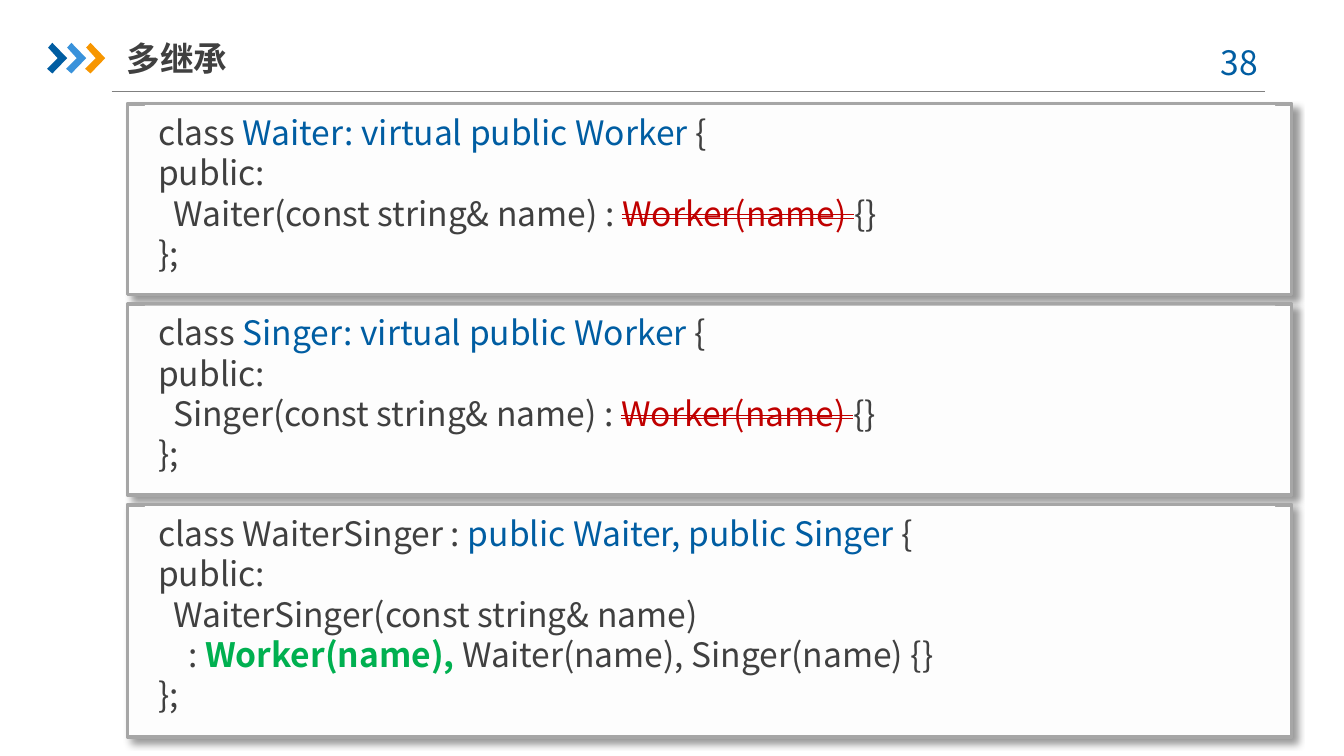
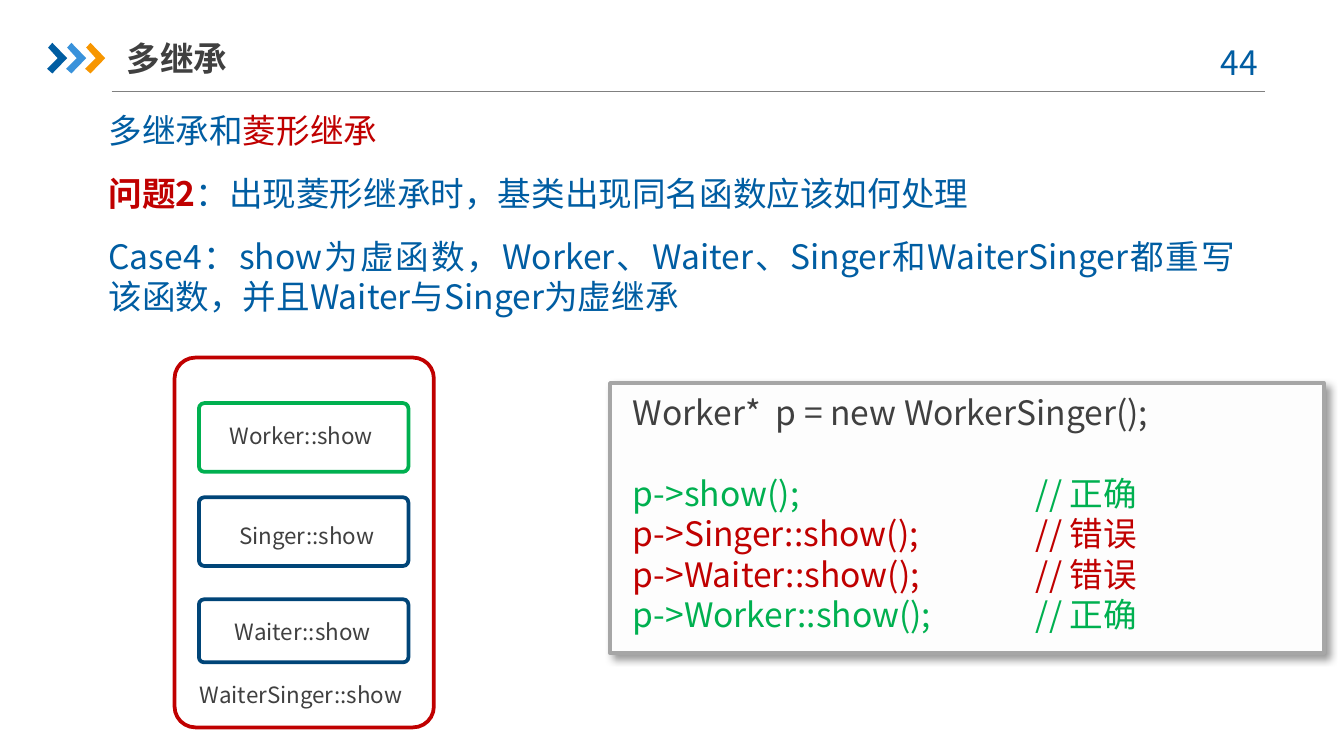
"""Build two slides on multiple inheritance in C++."""
from lxml import etree
from pptx import Presentation
from pptx.dml.color import RGBColor
from pptx.enum.shapes import MSO_CONNECTOR, MSO_SHAPE
from pptx.enum.text import MSO_ANCHOR, MSO_AUTO_SIZE, PP_ALIGN
from pptx.oxml.ns import qn
from pptx.util import Cm, Pt

RECTANGLE, ROUNDED = MSO_SHAPE.RECTANGLE, MSO_SHAPE.ROUNDED_RECTANGLE
STRAIGHT = MSO_CONNECTOR.STRAIGHT
TOP, MIDDLE = MSO_ANCHOR.TOP, MSO_ANCHOR.MIDDLE
LEFT, CENTER, JUSTIFY = PP_ALIGN.LEFT, PP_ALIGN.CENTER, PP_ALIGN.JUSTIFY
GROW, FIXED = MSO_AUTO_SIZE.SHAPE_TO_FIT_TEXT, MSO_AUTO_SIZE.NONE

FONT = "Noto Sans CJK SC"
COLORS = {
    "text": "404040", "blue": "005DA2", "sky": "3992DB", "orange": "F79600",
    "red": "C00000", "green": "00B050", "navy": "004578", "rule": "808080",
    "panel": "FDFDFD", "border": "A6A6A6", "shadow": "000000",
}
TITLE = "多继承"
CHEVRON = [(0.02, 0.09), (0.1, 0), (0.38, 0.29), (0.1, 0.58), (0, 0.49), (0.2, 0.29)]
CHEVRON_COLORS = ["blue", "sky", "orange"]
CHEVRON_LEFT, CHEVRON_TOP, CHEVRON_STEP = 0.89, 0.81, 0.36


def virtual_class(name):
    """Return the code of a class that inherits virtually from Worker."""
    return [
        [("class ", "text"), (f"{name}: virtual public Worker ", "blue"), ("{", "text")],
        [("public:", "text")],
        [(f"  {name}(const string& name) : ", "text"),
         ("Worker(name) ", "red", "strike"), ("{}", "text")],
        [("};", "text")],
    ]


WAITER_SINGER = [
    [("class WaiterSinger : ", "text"), ("public Waiter, public Singer ", "blue"), ("{", "text")],
    [("public:", "text")],
    [("  WaiterSinger(const string& name)", "text")],
    [("    : ", "text"), ("Worker(name), ", "green", "bold"),
     ("Waiter(name), Singer(name) {}", "text")],
    [("};", "text")],
]
CLASS_PANELS = [
    (virtual_class("Waiter"), 3.61, 3.33),
    (virtual_class("Singer"), 3.61, 3.33),
    (WAITER_SINGER, 4.39, 3.81),
]
PANEL_LEFT, PANEL_TOP, PANEL_STEP = 2.41, 1.96, 3.79

QUESTION = [
    [("多继承和", "blue"), ("菱形继承", "red")],
    [("问题2", "red", "bold"), ("：出现菱形继承时，基类出现同名函数应该如何处理", "blue")],
    [("Case4：show为虚函数，Worker、Waiter、Singer和WaiterSinger都重写该函数，"
      "并且Waiter与Singer为虚继承", "blue")],
]
CALLS = [
    [("Worker*  p = new WorkerSinger();", "text")],
    [("p->show();\t\t// 正确", "green")],
    [("p->Singer::show();\t// 错误", "red")],
    [("p->Waiter::show();\t// 错误", "red")],
    [("p->Worker::show();\t// 正确", "green")],
]
CALL_TABS = [5.08, 7.62]
MEMBER_BOXES = [
    ("navy", 3.76, 9.4, 3.96, 1.3),
    ("navy", 3.76, 11.33, 3.96, 1.19),
    ("red", 3.3, 6.76, 4.9, 6.99),
    ("green", 3.76, 7.62, 3.96, 1.3),
]
MEMBER_LABELS = [
    ("Worker::show", 4.09, 7.85, 3.43),
    ("Singer::show", 4.27, 9.75, 3.38),
    ("Waiter::show", 4.19, 11.56, 3.12),
    ("WaiterSinger::show", 3.53, 12.75, 4.42),
]


def rgb(name):
    return RGBColor.from_string(COLORS[name])


def add_element(parent, tag, **attributes):
    element = etree.SubElement(parent, qn(tag))
    for key, value in attributes.items():
        element.set(key, str(value))
    return element


def write(text_frame, lines, size=18, align=LEFT, anchor=TOP, fit=GROW):
    text_frame.word_wrap = True
    text_frame.auto_size = fit
    text_frame.vertical_anchor = anchor
    for index, line in enumerate(lines):
        paragraph = text_frame.add_paragraph() if index else text_frame.paragraphs[0]
        paragraph.alignment = align
        for text, color, *marks in line:
            run = paragraph.add_run()
            run.text = text
            run.font.size = Pt(size)
            run.font.bold = "bold" in marks
            run.font.color.rgb = rgb(color)
            run.font.name = FONT
            properties = run._r.get_or_add_rPr()
            add_element(properties, "a:ea", typeface=FONT)
            if "strike" in marks:
                properties.set("strike", "dblStrike")


def add_text(slide, box, lines, **options):
    shape = slide.shapes.add_textbox(*map(Cm, box))
    write(shape.text_frame, lines, **options)
    return shape


def add_box(slide, kind, box, fill=None, line=None):
    shape = slide.shapes.add_shape(kind, *map(Cm, box))
    shape.shadow.inherit = False
    if fill:
        shape.fill.solid()
        shape.fill.fore_color.rgb = rgb(fill)
    else:
        shape.fill.background()
    if line:
        shape.line.color.rgb = rgb(line)
        shape.line.width = Pt(2)
    else:
        shape.line.fill.background()
    return shape


def add_code_panel(slide, frame, inner, lines):
    panel = add_box(slide, RECTANGLE, frame, "panel", "border")
    effects = panel._element.spPr.find(qn("a:effectLst"))
    shadow = add_element(effects, "a:outerShdw", blurRad=Pt(4), dist=Pt(3),
                         dir=45 * 60000, algn="tl", rotWithShape=0)
    color = add_element(shadow, "a:srgbClr", val=COLORS["shadow"])
    add_element(color, "a:alpha", val=40000)
    code = add_box(slide, RECTANGLE, inner, "panel")
    write(code.text_frame, lines)
    return code


def add_slide(presentation, number):
    slide = presentation.slides.add_slide(presentation.slide_layouts[5])
    rule = slide.shapes.add_connector(STRAIGHT, Cm(2.11), Cm(1.73), Cm(23.9), Cm(1.73))
    rule.line.color.rgb = rgb("rule")
    rule.line.width = Pt(0.75)
    add_element(rule._element.spPr, "a:effectLst")
    for index, color in enumerate(CHEVRON_COLORS):
        left = CHEVRON_LEFT + index * CHEVRON_STEP
        points = [(Cm(left + x), Cm(CHEVRON_TOP + y)) for x, y in CHEVRON]
        builder = slide.shapes.build_freeform(*points[0])
        builder.add_line_segments(points[1:], close=True)
        chevron = builder.convert_to_shape()
        chevron.shadow.inherit = False
        chevron.fill.solid()
        chevron.fill.fore_color.rgb = rgb(color)
        chevron.line.fill.background()
    add_text(slide, (22.5, 0.66, 1.85, 1.02), [[(str(number), "blue")]], align=CENTER)
    title = slide.shapes.title
    title.left, title.top, title.width, title.height = map(Cm, (2.39, 0.56, 6.53, 1.07))
    title.text_frame.margin_left = title.text_frame.margin_right = 0
    write(title.text_frame, [[(TITLE, "text", "bold")]], anchor=MIDDLE, fit=FIXED)
    return slide


def build_class_slide(presentation):
    slide = add_slide(presentation, 38)
    for index, (lines, height, code_height) in enumerate(CLASS_PANELS):
        top = PANEL_TOP + index * PANEL_STEP
        add_code_panel(slide, (PANEL_LEFT, top, 22, height),
                       (PANEL_LEFT + 0.33, top + 0.03, 21.36, code_height), lines)


def build_call_slide(presentation):
    slide = add_slide(presentation, 44)
    question = add_text(slide, (1.8, 1.96, 21.79, 4.19), QUESTION, align=JUSTIFY)
    for paragraph in question.text_frame.paragraphs:
        paragraph.space_after = Pt(12)
    code = add_code_panel(slide, (11.53, 7.24, 13.49, 5.11), (11.71, 7.29, 13.08, 4.88), CALLS)
    calls = code.text_frame.paragraphs[1:]
    calls[0].space_before = Pt(21.6)
    for paragraph in calls:
        tabs = add_element(paragraph._p.get_or_add_pPr(), "a:tabLst")
        for position in CALL_TABS:
            add_element(tabs, "a:tab", pos=Cm(position), algn="l")
    for color, *box in MEMBER_BOXES:
        add_box(slide, ROUNDED, box, line=color).adjustments[0] = 0.08
    for label, left, top, width in MEMBER_LABELS:
        add_text(slide, (left, top, width, 0.76), [[(label, "text")]], size=12)


def main():
    presentation = Presentation()
    presentation.slide_width, presentation.slide_height = Cm(25.4), Cm(14.29)
    build_class_slide(presentation)
    build_call_slide(presentation)
    presentation.save("out.pptx")


if __name__ == "__main__":
    main()
